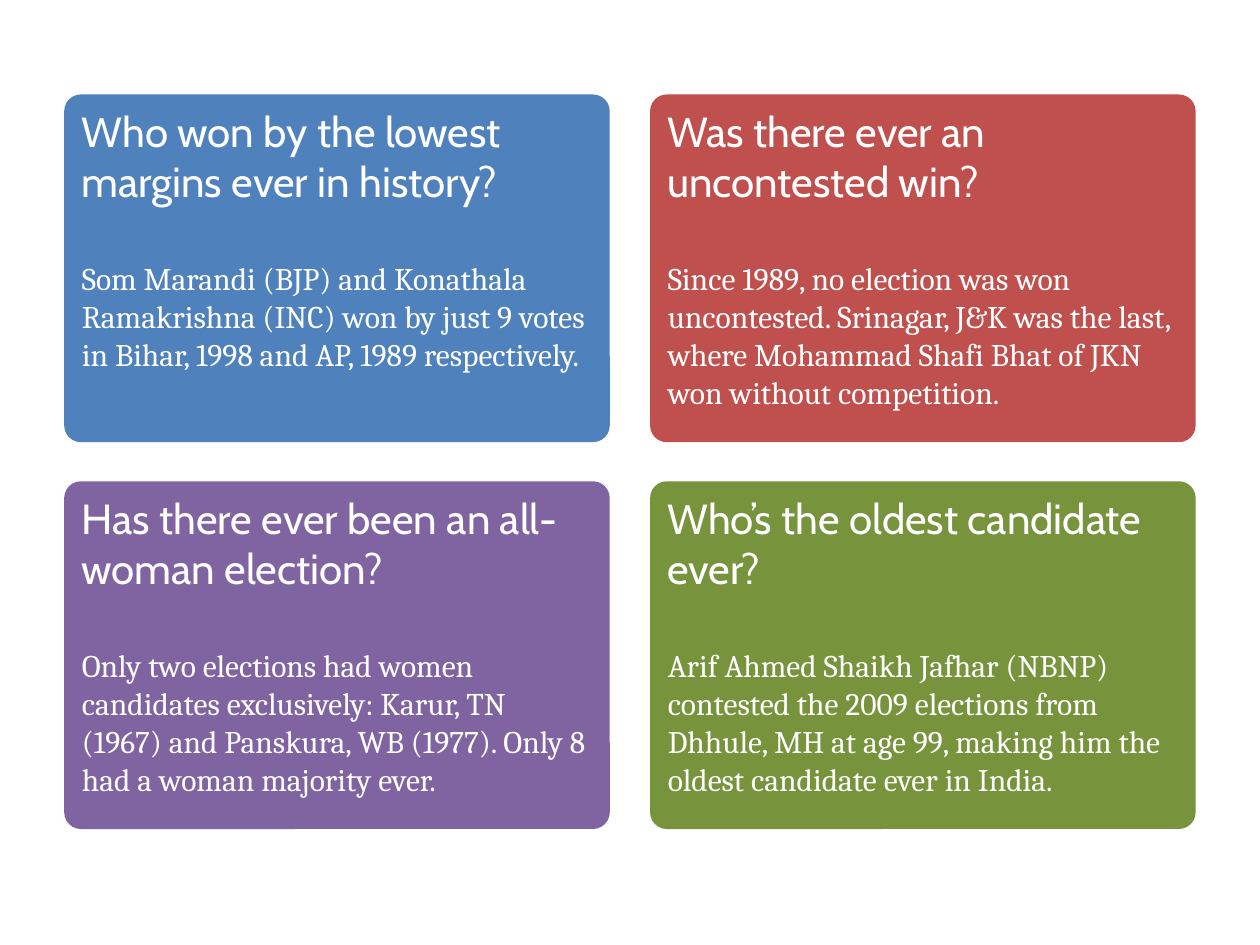
from dataclasses import dataclass

from pptx import Presentation
from pptx.dml.color import RGBColor
from pptx.enum import shapes, text
from pptx.util import Inches, Pt

WHITE = RGBColor(0xFF, 0xFF, 0xFF)
BLUE = RGBColor(0x4F, 0x81, 0xBD)
RED = RGBColor(0xC0, 0x50, 0x4D)
PURPLE = RGBColor(0x80, 0x64, 0xA2)
GREEN = RGBColor(0x77, 0x93, 0x3C)

# Grid of cards, in inches
LEFT, TOP = 0.51, 0.75
CARD_W, CARD_H = 4.33, 2.76
STEP_X, STEP_Y = 4.65, 3.07
ANSWER_DROP = 1.26
COLUMNS = 2


@dataclass
class Card:
    question: str
    answer: str
    color: RGBColor
    answer_height: float = 1.31


CARDS = [
    Card("Who won by the lowest margins ever in history?",
         "Som Marandi (BJP) and Konathala Ramakrishna (INC) won by just 9 votes "
         "in Bihar, 1998 and AP, 1989 respectively.", BLUE, 1.01),
    Card("Was there ever an uncontested win?",
         "Since 1989, no election was won uncontested. Srinagar, J&K was the last, "
         "where Mohammad Shafi Bhat of JKN won without competition.", RED),
    Card("Has there ever been an all-woman election?",
         "Only two elections had women candidates exclusively: Karur, TN (1967) "
         "and Panskura, WB (1977). Only 8 had a woman majority ever.", PURPLE),
    Card("Who’s the oldest candidate ever?",
         "Arif Ahmed Shaikh Jafhar (NBNP) contested the 2009 elections from "
         "Dhhule, MH at age 99, making him the oldest candidate ever in India.", GREEN),
]


def write(tf, words: str, font: str, size: int) -> None:
    tf.text = words
    tf.word_wrap = True
    tf.vertical_anchor = text.MSO_ANCHOR.TOP
    p = tf.paragraphs[0]
    p.alignment = text.PP_ALIGN.LEFT
    r = p.runs[0]
    r.font.name = font
    r.font.size = Pt(size)
    r.font.color.rgb = WHITE


def draw_question(s, card: Card, x: float, y: float) -> None:
    sp = s.shapes.add_shape(shapes.MSO_SHAPE.ROUNDED_RECTANGLE, Inches(x), Inches(y),
                            Inches(CARD_W), Inches(CARD_H))
    sp.adjustments[0] = 0.048
    sp.shadow.inherit = False
    sp.fill.solid()
    sp.fill.fore_color.rgb = card.color
    sp.line.fill.background()
    write(sp.text_frame, card.question, "Cabin", 24)


def draw_answer(s, card: Card, x: float, y: float) -> None:
    sp = s.shapes.add_textbox(Inches(x), Inches(y + ANSWER_DROP),
                              Inches(CARD_W), Inches(card.answer_height))
    tf = sp.text_frame
    tf.margin_left = tf.margin_right = Inches(0.14)
    tf.auto_size = text.MSO_AUTO_SIZE.SHAPE_TO_FIT_TEXT
    write(tf, card.answer, "Cambria", 18)


def main() -> None:
    prs = Presentation()
    prs.slide_width, prs.slide_height = Inches(10), Inches(7.5)
    s = prs.slides.add_slide(prs.slide_layouts[6])

    # Cards row by row, each with its answer on top
    for i, card in enumerate(CARDS):
        row, col = divmod(i, COLUMNS)
        x, y = LEFT + col * STEP_X, TOP + row * STEP_Y
        draw_question(s, card, x, y)
        draw_answer(s, card, x, y)

    prs.save("out.pptx")


if __name__ == "__main__":
    main()
